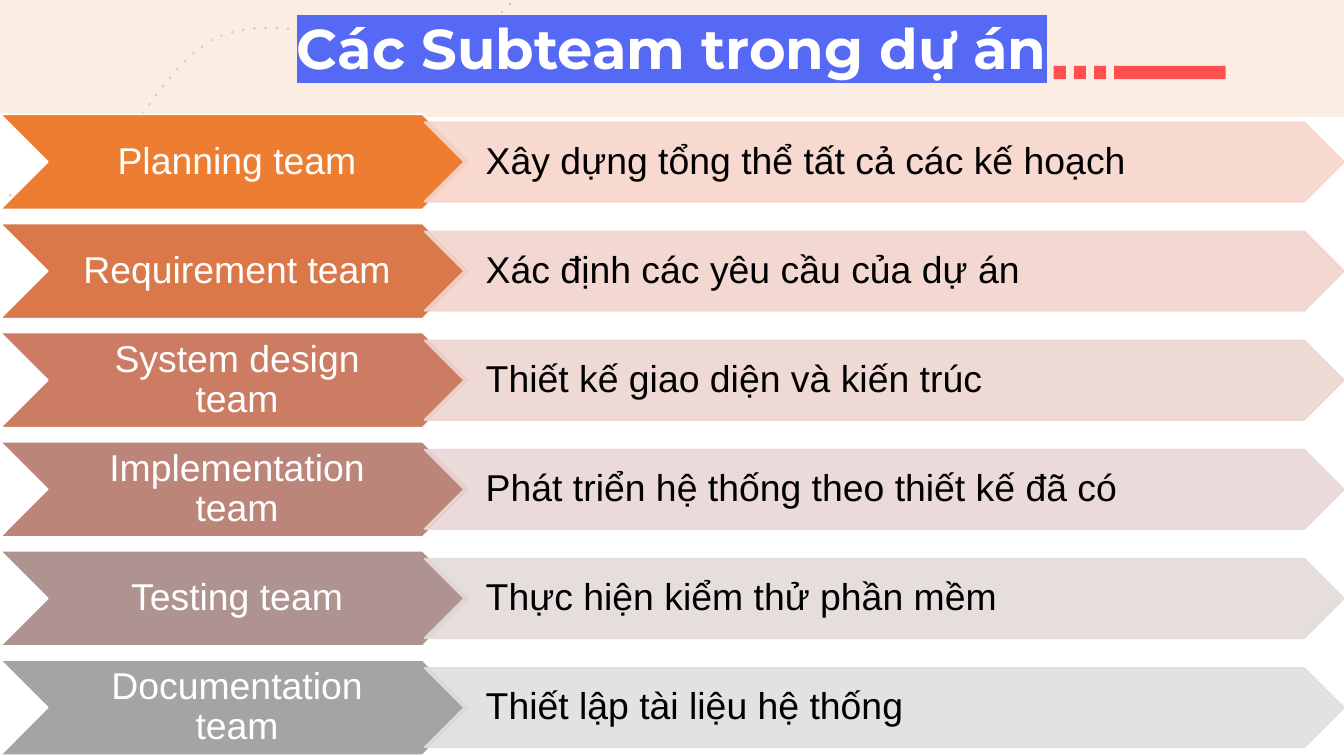
from lxml.etree import SubElement
from pptx import Presentation
from pptx.dml.color import RGBColor
from pptx.enum.dml import MSO_LINE
from pptx.enum.shapes import MSO_SHAPE
from pptx.enum.text import MSO_ANCHOR, PP_ALIGN
from pptx.oxml.ns import qn
from pptx.util import Inches, Pt

COLORS = {
    "band": "FCEDE3",
    "curve": "EFBFAB",
    "accent": "FF4F4E",
    "highlight": "5669F4",
    "white": "FFFFFF",
    "black": "000000",
}


def add_shape(kind, box, fill, line=None, opacity=None):
    shape = slide.shapes.add_shape(kind, *[Inches(value) for value in box])
    shape.shadow.inherit = False
    shape.fill.solid()
    shape.fill.fore_color.rgb = RGBColor.from_string(fill)
    if line:
        shape.line.color.rgb = RGBColor.from_string(line)
        shape.line.width = Pt(1)
    else:
        shape.line.fill.background()
    if opacity:
        for color in shape._element.spPr.iter(qn("a:srgbClr")):
            SubElement(color, qn("a:alpha"), val=str(opacity * 1000))
    return shape


def set_text(shape, text, size=20, font="Arial", color="000000", bold=False,
             align=PP_ALIGN.LEFT, anchor=MSO_ANCHOR.MIDDLE, spacing=0.9,
             insets=(0.1, 0.1, 0.1, 0.1), highlight=None):
    frame = shape.text_frame
    frame.word_wrap = True
    frame.vertical_anchor = anchor
    (frame.margin_left, frame.margin_top,
     frame.margin_right, frame.margin_bottom) = [Inches(inset) for inset in insets]
    paragraph = frame.paragraphs[0]
    paragraph.alignment = align
    paragraph.line_spacing = spacing
    run = paragraph.add_run()
    run.text = text
    run.font.size = Pt(size)
    run.font.name = font
    run.font.bold = bold
    run.font.color.rgb = RGBColor.from_string(color)
    if highlight:
        properties = run.font._element
        element = SubElement(properties, qn("a:highlight"))
        SubElement(element, qn("a:srgbClr"), val=highlight)
        properties.find(qn("a:solidFill")).addnext(element)


presentation = Presentation()
presentation.slide_width = Inches(10)
presentation.slide_height = Inches(10) * 9 // 16
slide = presentation.slides.add_slide(presentation.slide_layouts[6])

# Header band
add_shape(MSO_SHAPE.RECTANGLE, (-0.01, 0, 10.01, 0.87), COLORS["band"])

# Dotted curve, sampled from joined cubic Bezier segments
anchors = [(-2.95, 2.21), (-2.69, 2.01), (-1.93, 1.17), (-1.37, 1.04),
           (-0.81, 0.92), (-0.1, 1.59), (0.41, 1.46),
           (0.91, 1.33), (1.16, 0.45), (1.66, 0.26),
           (2.16, 0.07), (2.95, 0.47), (3.41, 0.3),
           (3.87, 0.13), (4.24, -0.59), (4.41, -0.76)]
steps = 16
points = [tuple(Inches(value) for value in anchors[0])]
for first in range(0, len(anchors) - 1, 3):
    segment = anchors[first:first + 4]
    for step in range(1, steps + 1):
        t = step / steps
        weights = ((1 - t) ** 3, 3 * t * (1 - t) ** 2, 3 * t ** 2 * (1 - t), t ** 3)
        points.append(tuple(
            Inches(sum(weight * anchor[axis] for weight, anchor in zip(weights, segment)))
            for axis in (0, 1)))
builder = slide.shapes.build_freeform(*points[0])
builder.add_line_segments(points[1:], close=False)
curve = builder.convert_to_shape()
curve.shadow.inherit = False
curve.fill.background()
curve.line.color.rgb = RGBColor.from_string(COLORS["curve"])
curve.line.width = Pt(1.5)
curve.line.dash_style = MSO_LINE.ROUND_DOT
outline = curve._element.spPr.find(qn("a:ln"))
outline.set("cap", "rnd")
outline.find(qn("a:prstDash")).set("val", "dot")

# Accent bar and dots beside the title
for left, width in [(8.29, 0.83), (7.84, 0.09), (7.99, 0.09), (8.14, 0.09)]:
    add_shape(MSO_SHAPE.RECTANGLE, (left, 0.49, width, 0.1), COLORS["accent"])

# Title
title = slide.shapes.add_textbox(0, 0, Inches(10), Inches(0.79))
set_text(title, "Các Subteam trong dự án", size=30, font="Montserrat",
         color=COLORS["white"], bold=True, align=PP_ALIGN.CENTER,
         anchor=MSO_ANCHOR.TOP, spacing=1.0, highlight=COLORS["highlight"])

# One row per team: name chevron, then its task
teams = [
    ("Planning team", "Xây dựng tổng thể tất cả các kế hoạch", "ED7D31", "F7D5CB"),
    ("Requirement team", "Xác định các yêu cầu của dự án", "DB784A", "F2D4CE"),
    ("System design team", "Thiết kế giao diện và kiến trúc", "CB7C63", "EED5D1"),
    ("Implementation team", "Phát triển hệ thống theo thiết kế đã có", "BC857A", "E9D7D6"),
    ("Testing team", "Thực hiện kiểm thử phần mềm", "AF9390", "E4DBDA"),
    ("Documentation team", "Thiết lập tài liệu hệ thống", "A4A4A4", "DFDFDF"),
]
first_top, last_top = 0.85, 4.91
pitch = (last_top - first_top) / (len(teams) - 1)
for row, (name, task, name_fill, task_fill) in enumerate(teams):
    top = first_top + row * pitch
    name_chevron = add_shape(MSO_SHAPE.CHEVRON, (0, top, 3.5, 0.71),
                             name_fill, line=COLORS["white"])
    set_text(name_chevron, name, color=COLORS["white"], align=PP_ALIGN.CENTER,
             insets=(0.2, 0.01, 0.17, 0.01))
    task_chevron = add_shape(MSO_SHAPE.CHEVRON, (3.16, top + 0.06, 6.84, 0.59),
                             task_fill, line=task_fill, opacity=90)
    set_text(task_chevron, task, color=COLORS["black"], insets=(0.16, 0.01, 0.14, 0.01))

presentation.save("out.pptx")
